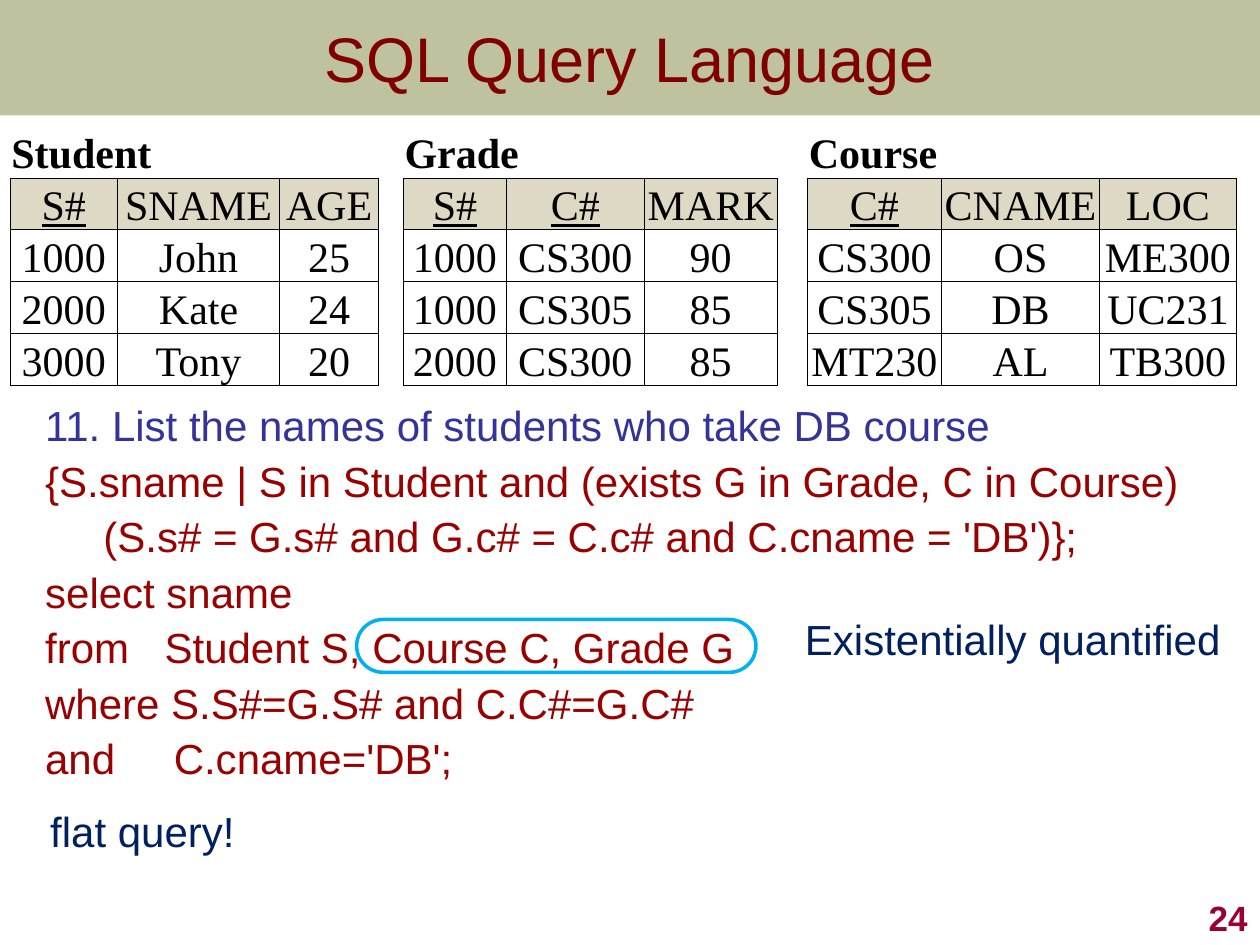
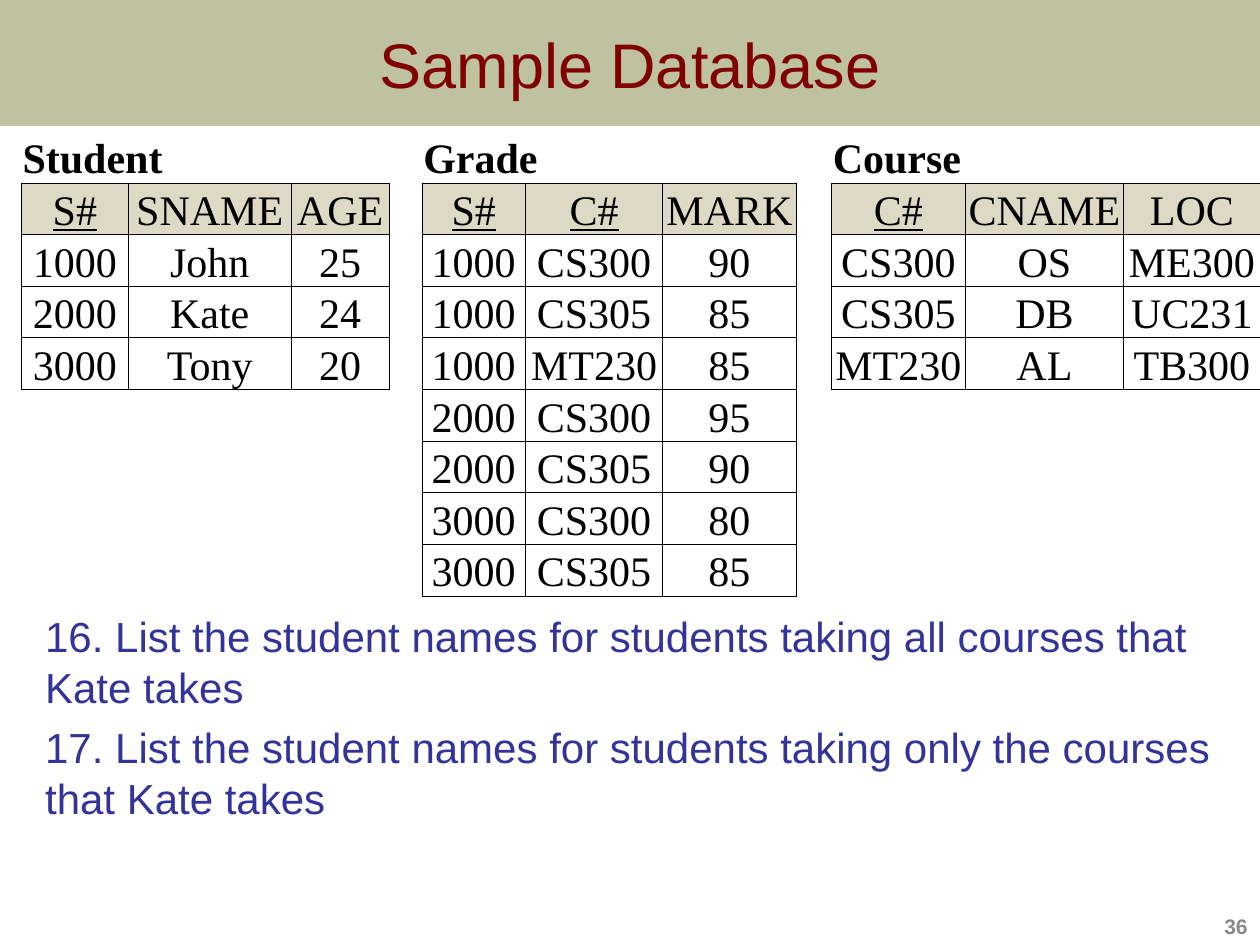
from pptx import Presentation, util as u
from pptx.dml.color import RGBColor
from pptx.enum import shapes, text
from pptx.oxml.ns import qn
from lxml import etree

Pt = u.Pt
COLORS = {
    "band": "6E7524", "title": "800000", "question": "333399",
    "code": "990000", "remark": "002060", "ring": "00B0F0",
    "number": "990033", "muted": "898989", "ink": "000000",
    "header": "DDD9C4", "paper": "FFFFFF",
}
ALIGN = {"l": text.PP_ALIGN.LEFT, "c": text.PP_ALIGN.CENTER, "r": text.PP_ALIGN.RIGHT}

# Relations: column widths in points and column names; keys end with "#"
COLUMNS = {
    "Student": {"S#": 61.2, "SNAME": 92.9, "AGE": 56.2},
    "Grade": {"S#": 59, "C#": 78.5, "MARK": 76.3},
    "Course": {"C#": 76.3, "CNAME": 90.7, "LOC": 77.8},
}
STUDENTS = ["1000 John 25", "2000 Kate 24", "3000 Tony 20"]
COURSES = ["CS300 OS ME300", "CS305 DB UC231", "MT230 AL TB300"]
GRADES_SHORT = ["1000 CS300 90", "1000 CS305 85", "2000 CS300 85"]
GRADES_FULL = ["1000 CS300 90", "1000 CS305 85", "1000 MT230 85", "2000 CS300 95",
               "2000 CS305 90", "3000 CS300 80", "3000 CS305 85"]


def rgb(name):
    return RGBColor.from_string(COLORS[name])


def write(p, words, size=24, color="ink", font="Arial", bold=False, underline=False,
          align="l", spacing=None, before=0, tab=None):
    """Fill one paragraph with one formatted run."""
    if tab:
        tabs = etree.SubElement(p._p.get_or_add_pPr(), qn("a:tabLst"))
        etree.SubElement(tabs, qn("a:tab"), pos=str(Pt(tab)), algn="l")
    p.alignment = ALIGN[align]
    p.space_before = Pt(before)
    if spacing:
        p.line_spacing = spacing
    r = p.add_run()
    r.text = words
    r.font.name, r.font.size = font, Pt(size)
    r.font.bold, r.font.underline = bold, underline
    r.font.color.rgb = rgb(color)


class Deck:
    def __init__(self):
        self.prs = Presentation()
        self.prs.slide_width, self.prs.slide_height = Pt(720), Pt(540)
        self.s = None

    def slide(self, title, band_height, number, **number_format):
        self.s = self.prs.slides.add_slide(self.prs.slide_layouts[6])
        # Title band
        sp = self.shape(shapes.MSO_SHAPE.RECTANGLE, 0, 0, 720, band_height)
        sp.fill.solid()
        sp.fill.fore_color.rgb = rgb("band")
        color = sp.fill._xPr.find(".//" + qn("a:srgbClr"))
        etree.SubElement(color, qn("a:alpha"), val="44000")
        sp.line.fill.background()
        sp.text_frame.vertical_anchor = text.MSO_ANCHOR.MIDDLE
        write(sp.text_frame.paragraphs[0], title, size=36, color="title", align="c")
        # Slide number
        tf = self.box(570.2, 504, 149.8, 36, [(number, dict(number_format, bold=True, align="r"))])
        tf.vertical_anchor = text.MSO_ANCHOR.BOTTOM

    def shape(self, kind, x, y, w, h):
        sp = self.s.shapes.add_shape(kind, Pt(x), Pt(y), Pt(w), Pt(h))
        sp.shadow.inherit = False
        return sp

    def ring(self, x, y, w, h):
        sp = self.shape(shapes.MSO_SHAPE.ROUNDED_RECTANGLE, x, y, w, h)
        sp.adjustments[0] = 0.5
        sp.fill.background()
        sp.line.color.rgb = rgb("ring")
        sp.line.width = Pt(2)

    def box(self, x, y, w, h, lines, wrap=True, right=7.2):
        tf = self.s.shapes.add_textbox(Pt(x), Pt(y), Pt(w), Pt(h)).text_frame
        tf.word_wrap = wrap
        tf.margin_right = Pt(right)
        for i, (words, style) in enumerate(lines):
            p = tf.add_paragraph() if i else tf.paragraphs[0]
            write(p, words, **style)
        return tf

    def body(self, y, h, lines, gap, **shared):
        lines = [(words, {**shared, **style, "before": gap if i else 0})
                 for i, (words, style) in enumerate(lines)]
        self.box(18.7, y, 683.3, h, lines, right=0)

    def remark(self, words, x, y, w, wrap=True):
        self.box(x, y, w, 33.1, [(words, dict(color="remark", spacing=0.9))], wrap)

    def cell(self, cell, sides, words="", fill="paper", **style):
        cell.fill.solid()
        cell.fill.fore_color.rgb = rgb(fill)
        cell.vertical_anchor = text.MSO_ANCHOR.BOTTOM
        cell.margin_left = cell.margin_right = cell.margin_top = Pt(0.7)
        cell.margin_bottom = 0
        if words:
            write(cell.text_frame.paragraphs[0], words, font="Times New Roman", **style)
        # Borders go ahead of the fill in the cell properties
        for i, side in enumerate("LRTB"):
            ln = etree.Element(qn("a:ln" + side), w=str(Pt(0.5)))
            if side in sides:
                fill_xml = etree.SubElement(ln, qn("a:solidFill"))
                etree.SubElement(fill_xml, qn("a:srgbClr"), val=COLORS["ink"])
            else:
                etree.SubElement(ln, qn("a:noFill"))
            cell._tc.get_or_add_tcPr().insert(i, ln)

    def table(self, x, y, row_height, relations, gaps=()):
        """Draw relations side by side in one table, with a gap column between them."""
        widths = []
        for i, name in enumerate(relations):
            widths += ([gaps[i - 1]] if i else []) + list(COLUMNS[name].values())
        count = 2 + max(len(rows) for rows in relations.values())
        frame = self.s.shapes.add_table(count, len(widths), Pt(x), Pt(y),
                                        Pt(sum(widths)), Pt(count * row_height))
        t = frame.table
        t.first_row = t.horz_banding = False
        for column, width in zip(t.columns, widths):
            column.width = Pt(width)
        for row in t.rows:
            row.height = Pt(row_height)
        start = 0
        for name, records in relations.items():
            if start:
                for r in range(count):
                    self.cell(t.cell(r, start), "LR" if r else "")
                start += 1
            names = list(COLUMNS[name])
            end = start + len(names) - 1
            t.cell(0, start).merge(t.cell(0, end))
            for c, heading in enumerate(names, start):
                self.cell(t.cell(0, c), "B", name if c == start else "", bold=True)
                self.cell(t.cell(1, c), "LRTB", heading, "header", align="c",
                          underline=heading.endswith("#"))
            for r, record in enumerate(records, 2):
                for c, value in enumerate(record.split(), start):
                    self.cell(t.cell(r, c), "LRTB", value, align="c")
            start = end + 1


def main():
    deck = Deck()

    # Query slide
    deck.slide("SQL Query Language", 66, "24", size=20, color="number")
    deck.body(228.2, 307.4, [
        ("11. List the names of students who take DB course", {"color": "question"}),
        ("{S.sname | S in Student and (exists G in Grade, C in Course)", {}),
        ("     (S.s# = G.s# and G.c# = C.c# and C.cname = 'DB')};", {}),
        ("select sname", {}),
        ("from\tStudent S, Course C, Grade G", {"tab": 68.3}),
        ("where S.S#=G.S# and C.C#=G.C#", {}),
        ("and\tC.cname='DB';", {"tab": 73.5}),
    ], gap=5.8, color="code", spacing=0.9)
    deck.remark("flat query!", 21.6, 460.1, 121, wrap=False)
    deck.table(5.8, 72, 29.7,
               {"Student": STUDENTS, "Grade": GRADES_SHORT, "Course": COURSES}, (14.4, 17.3))
    deck.ring(203.8, 354, 228.2, 30.2)
    deck.remark("Existentially quantified", 452.9, 350.6, 257.8)

    # Sample data slide
    deck.slide("Sample Database", 72, "36", size=12, color="muted")
    deck.table(241.2, 75, 27.5, {"Grade": GRADES_FULL})
    deck.table(12.2, 75, 27.5, {"Student": STUDENTS})
    deck.table(475.2, 75, 27.5, {"Course": COURSES})
    deck.body(345.6, 158.4, [
        ("16. List the student names for students taking all courses that Kate takes", {}),
        ("17. List the student names for students taking only the courses that Kate takes", {}),
    ], gap=5.8, color="question")

    deck.prs.save("out.pptx")


if __name__ == "__main__":
    main()
